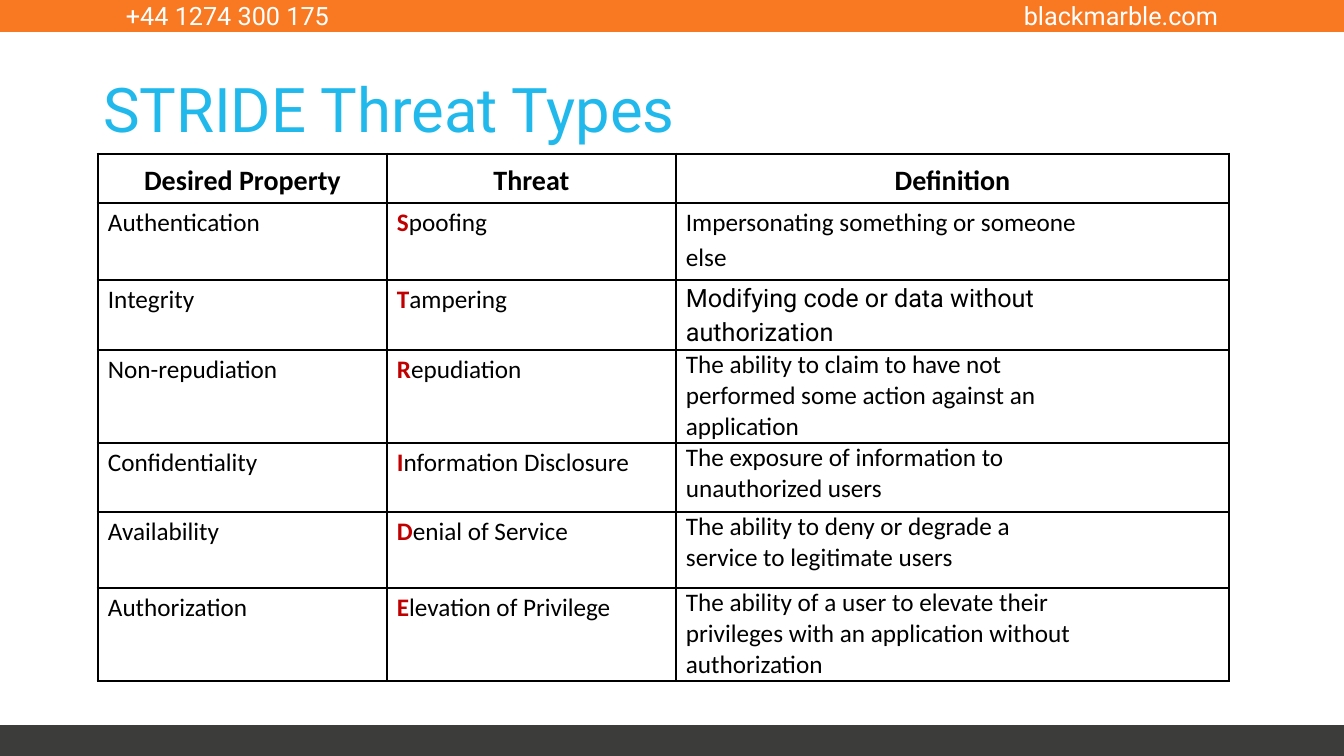
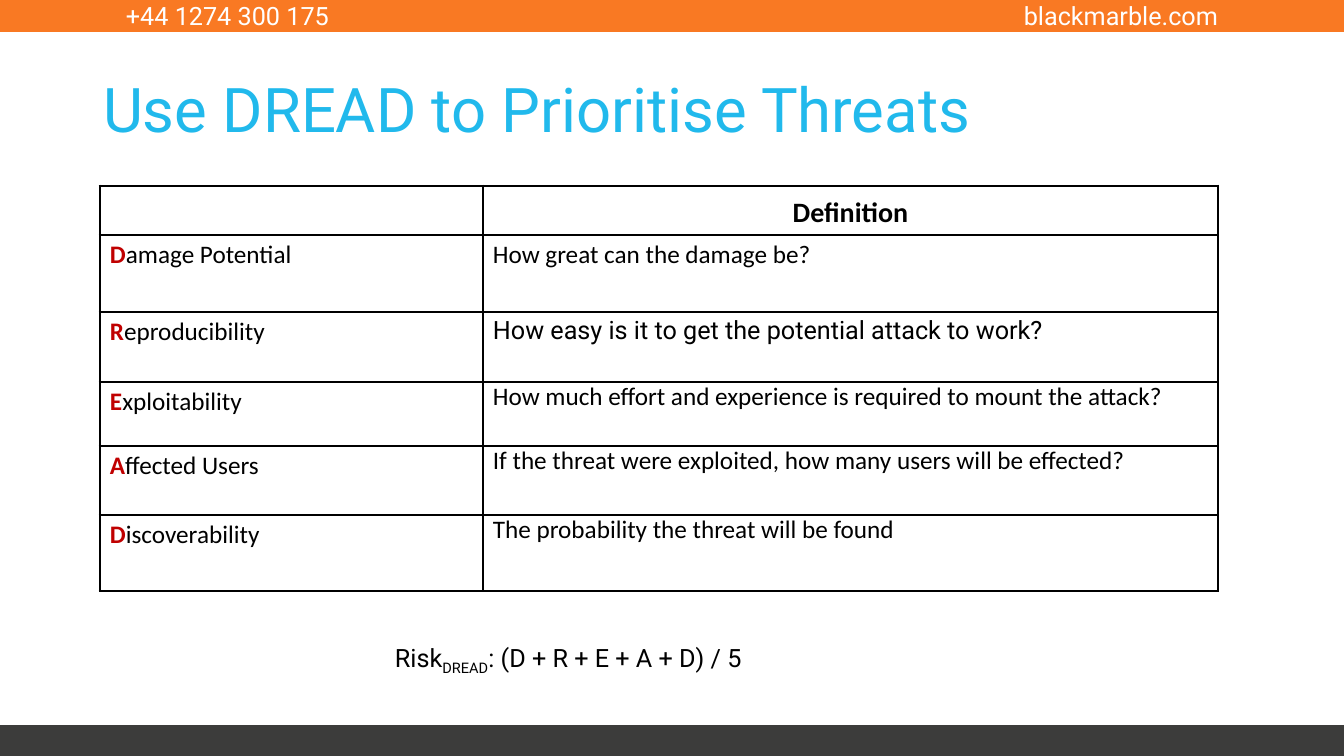
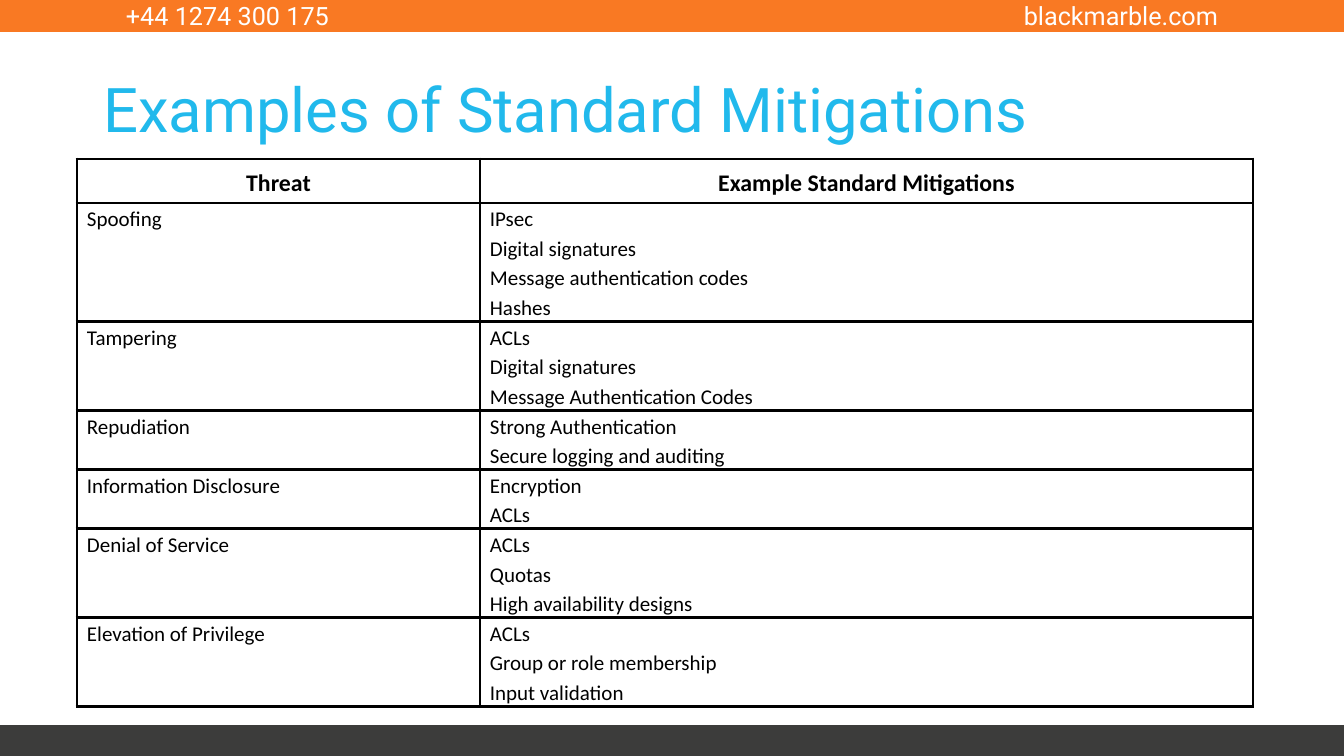
from lxml.etree import SubElement
from pptx import Presentation
from pptx.dml.color import RGBColor
from pptx.enum.shapes import MSO_SHAPE
from pptx.enum.text import MSO_ANCHOR, MSO_AUTO_SIZE, PP_ALIGN
from pptx.oxml.ns import qn
from pptx.util import Pt

WIDE, HIGH = 1344, 756
SCALE = 12192000 / WIDE
HUES = {
    "band": "F97923",
    "foot": "3C3C3B",
    "title": "21B9EC",
    "mark": "C00000",
    "ink": "000000",
    "page": "FFFFFF",
}
SANS, BODY = "Roboto", "Calibri"
LOOSE = 1.15

STRIDE = [
    ("Desired Property", "Threat", "Definition"),
    ("Authentication", "Spoofing", "Impersonating something or someone\nelse"),
    ("Integrity", "Tampering", "Modifying code or data without\nauthorization"),
    ("Non-repudiation", "Repudiation",
     "The ability to claim to have not\nperformed some action against an\napplication"),
    ("Confidentiality", "Information Disclosure",
     "The exposure of information to\nunauthorized users"),
    ("Availability", "Denial of Service",
     "The ability to deny or degrade a\nservice to legitimate users"),
    ("Authorization", "Elevation of Privilege",
     "The ability of a user to elevate their\nprivileges with an application without\n"
     "authorization"),
]
DREAD = [
    ("", "Definition"),
    ("Damage Potential", "How great can the damage be?"),
    ("Reproducibility", "How easy is it to get the potential attack to work?"),
    ("Exploitability", "How much effort and experience is required to mount the attack?"),
    ("Affected Users", "If the threat were exploited, how many users will be effected?"),
    ("Discoverability", "The probability the threat will be found"),
]
FIXES = [
    ("Threat", "Example Standard Mitigations"),
    ("Spoofing", "IPsec\nDigital signatures\nMessage authentication codes\nHashes"),
    ("Tampering", "ACLs\nDigital signatures\nMessage Authentication Codes"),
    ("Repudiation", "Strong Authentication\nSecure logging and auditing"),
    ("Information Disclosure", "Encryption\nACLs"),
    ("Denial of Service", "ACLs\nQuotas\nHigh availability designs"),
    ("Elevation of Privilege", "ACLs\nGroup or role membership\nInput validation"),
]


def px(size):
    return round(size * SCALE)


def hue(name):
    return RGBColor.from_string(HUES[name])


def style(run, size, face, ink="ink", bold=False):
    font = run.font
    font.size, font.name, font.bold = Pt(size), face, bold
    font.color.rgb = hue(ink)


def label(slide, box, text, ink="ink", align=PP_ALIGN.LEFT):
    shape = slide.shapes.add_textbox(*map(px, box))
    frame = shape.text_frame
    frame.word_wrap = True
    frame.text = text
    para = frame.paragraphs[0]
    para.alignment = align
    style(para.runs[0], 18, SANS, ink)
    return shape


def band(slide, box, ink):
    shape = slide.shapes.add_shape(MSO_SHAPE.RECTANGLE, *map(px, box))
    shape.shadow.inherit = False
    shape.fill.solid()
    shape.fill.fore_color.rgb = hue(ink)
    shape.line.fill.background()
    return shape


def brand(slide):
    parts = [
        band(slide, (0, 0, WIDE, 32), "band"),
        label(slide, (116, -5, 238, 40), "+44 1274 300 175", "page"),
        label(slide, (990, -5, 238, 40), "blackmarble.com", "page", PP_ALIGN.RIGHT),
        band(slide, (0, 725, WIDE, 31), "foot"),
    ]
    tree = slide.slide_layout.shapes.element
    for part in parts:
        tree.append(part.element)


def head(slide, text):
    title = slide.shapes.title
    title.left, title.top, title.width, title.height = map(px, (93, 40, 1159, 146))
    frame = title.text_frame
    frame.text = text
    frame.auto_size = MSO_AUTO_SIZE.NONE
    frame.vertical_anchor = MSO_ANCHOR.MIDDLE
    para = frame.paragraphs[0]
    para.alignment = PP_ALIGN.LEFT
    para.line_spacing = 0.9
    style(para.runs[0], 44, SANS, "title")


def edge(cell):
    props = cell._tc.get_or_add_tcPr()
    for side in ("lnL", "lnR", "lnT", "lnB"):
        line = SubElement(props, qn("a:" + side), w=str(Pt(2.25)))
        fill = SubElement(line, qn("a:solidFill"))
        SubElement(fill, qn("a:srgbClr"), val=HUES["ink"])
    cell.fill.solid()
    cell.fill.fore_color.rgb = hue("page")


def write(cell, text, size, face=BODY, space=LOOSE, top=False, mark=False):
    cell.margin_left = cell.margin_right = px(10)
    cell.margin_top = cell.margin_bottom = 0
    cell.vertical_anchor = MSO_ANCHOR.MIDDLE if top else MSO_ANCHOR.TOP
    cell.text_frame.text = text
    for para in cell.text_frame.paragraphs:
        para.alignment = PP_ALIGN.CENTER if top else PP_ALIGN.LEFT
        para.line_spacing = space
        if mark:
            para.text = text[0]
            para.add_run().text = text[1:]
        for run in para.runs:
            style(run, size, face, bold=top)
        if mark:
            style(para.runs[0], size, face, "mark", True)


def grid(slide, spot, wide, high, data, sizes=(20, 18), mark=None, sans=None, tight=None):
    box = (*spot, sum(wide), sum(high))
    table = slide.shapes.add_table(len(high), len(wide), *map(px, box)).table
    table.first_row = table.horz_banding = False
    for col, size in zip(table.columns, wide):
        col.width = px(size)
    for row, size in zip(table.rows, high):
        row.height = px(size)
    for r, texts in enumerate(data):
        for c, text in enumerate(texts):
            cell = table.cell(r, c)
            edge(cell)
            top, last = r == 0, c == len(wide) - 1
            write(
                cell, text, sizes[0 if top else 1],
                SANS if last and r == sans else BODY,
                1.0 if last and tight and r >= tight else LOOSE,
                top, c == mark and not top,
            )


def risk(slide, box):
    para = label(slide, box, "Risk").text_frame.paragraphs[0]
    for text in ("DREAD", ": (D + R + E + A + D) / 5"):
        run = para.add_run()
        run.text = text
        style(run, 18, SANS)
    para.runs[1]._r.get_or_add_rPr().set("baseline", "-25000")


def page(deck, title):
    slide = deck.slides.add_slide(deck.slide_layouts[5])
    head(slide, title)
    return slide


def main():
    deck = Presentation()
    deck.slide_width, deck.slide_height = px(WIDE), px(HIGH)

    slide = page(deck, "STRIDE Threat Types")
    brand(slide)
    grid(slide, (98, 154), (289, 289, 553), (49, 77, 70, 93, 69, 76, 93), STRIDE,
         mark=1, sans=2, tight=3)

    slide = page(deck, "Use DREAD to Prioritise Threats")
    grid(slide, (100, 186), (383, 735), (49, 77, 70, 64, 69, 76), DREAD,
         mark=0, sans=2, tight=3)
    risk(slide, (385, 637, 389, 40))

    slide = page(deck, "Examples of Standard Mitigations")
    grid(slide, (77, 159), (403, 773), (44, 118, 89, 59, 59, 89, 89), FIXES,
         sizes=(17, 15))

    deck.save("out.pptx")


if __name__ == "__main__":
    main()
